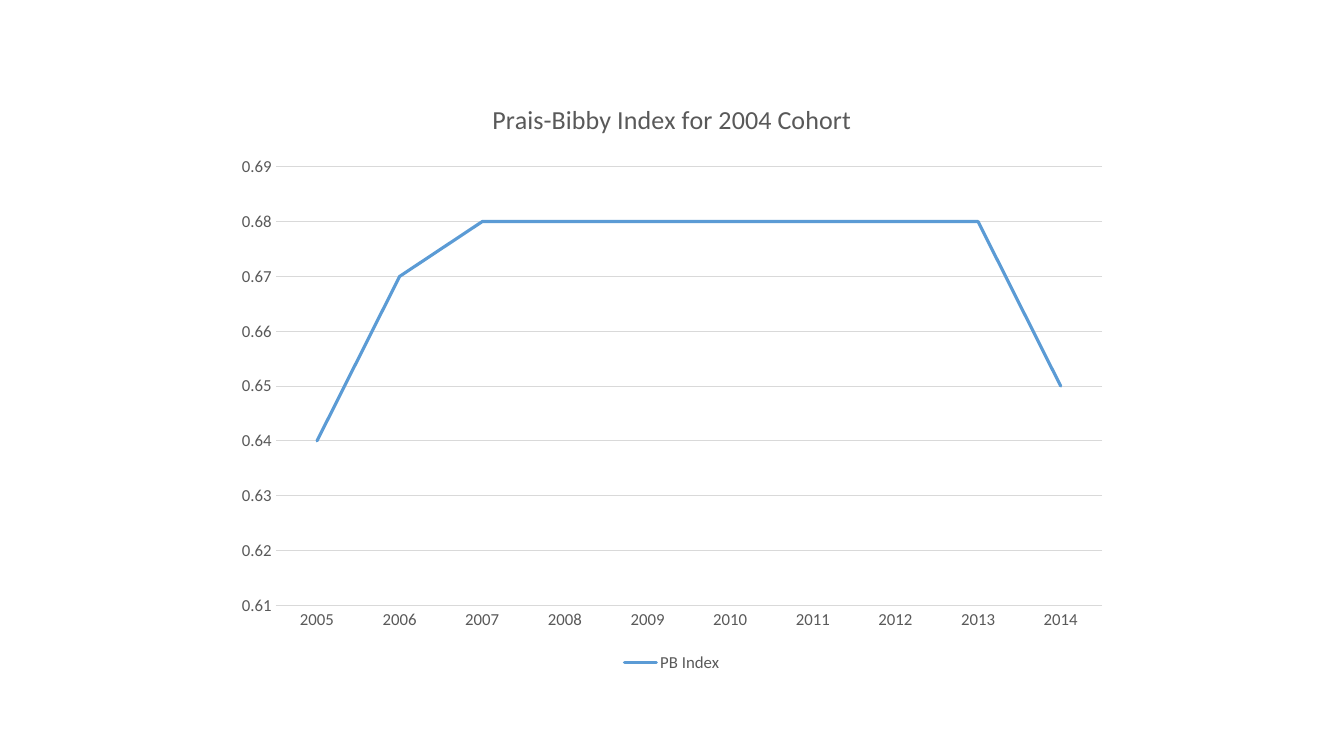
from pptx import Presentation
from pptx.chart.data import CategoryChartData
from pptx.dml.color import RGBColor
from pptx.enum.chart import XL_CHART_TYPE, XL_LEGEND_POSITION, XL_MARKER_STYLE, XL_TICK_MARK
from pptx.util import Pt


def style_font(font, size, color="595959"):
    font.name = "Calibri"
    font.size = Pt(size)
    font.bold = False
    font.color.rgb = RGBColor.from_string(color)


def style_line(line, color, width):
    line.color.rgb = RGBColor.from_string(color)
    line.width = Pt(width)


prs = Presentation()
prs.slide_width, prs.slide_height = Pt(960), Pt(540)
s = prs.slides.add_slide(prs.slide_layouts[6])

data = CategoryChartData(number_format="General")
data.categories = [str(year) for year in range(2005, 2015)]
data.add_series("PB Index", [0.64, 0.67, 0.68, 0.68, 0.68, 0.68, 0.68, 0.68, 0.68, 0.65])
chart = s.shapes.add_chart(XL_CHART_TYPE.LINE, Pt(160), Pt(56.67), Pt(640), Pt(426.67), data).chart
style_font(chart.font, 10, "000000")

chart.has_title = True
tf = chart.chart_title.text_frame
tf.text = "Prais-Bibby Index for 2004 Cohort"
p = tf.paragraphs[0]
for font in (p.font, p.runs[0].font):
    style_font(font, 18.6)
chart.chart_title.include_in_layout = False

chart.has_legend = True
chart.legend.position = XL_LEGEND_POSITION.BOTTOM
chart.legend.include_in_layout = False
style_font(chart.legend.font, 12)

for axis in (chart.category_axis, chart.value_axis):
    axis.major_tick_mark = axis.minor_tick_mark = XL_TICK_MARK.NONE
    style_font(axis.tick_labels.font, 12)

style_line(chart.category_axis.format.line, "D9D9D9", 0.75)
axis = chart.value_axis
axis.minimum_scale, axis.maximum_scale, axis.major_unit = 0.61, 0.69, 0.01
axis.tick_labels.number_format = "0.00"
axis.tick_labels.number_format_is_linked = False
axis.format.line.fill.background()
axis.has_major_gridlines = True
style_line(axis.major_gridlines.format.line, "D9D9D9", 0.75)

plot = chart.plots[0]
plot.vary_by_categories = False
series = plot.series[0]
series.smooth = False
series.marker.style = XL_MARKER_STYLE.NONE
style_line(series.format.line, "5B9BD5", 2.25)
series._element.xpath("c:spPr/a:ln")[0].set("cap", "rnd")

prs.save("out.pptx")
